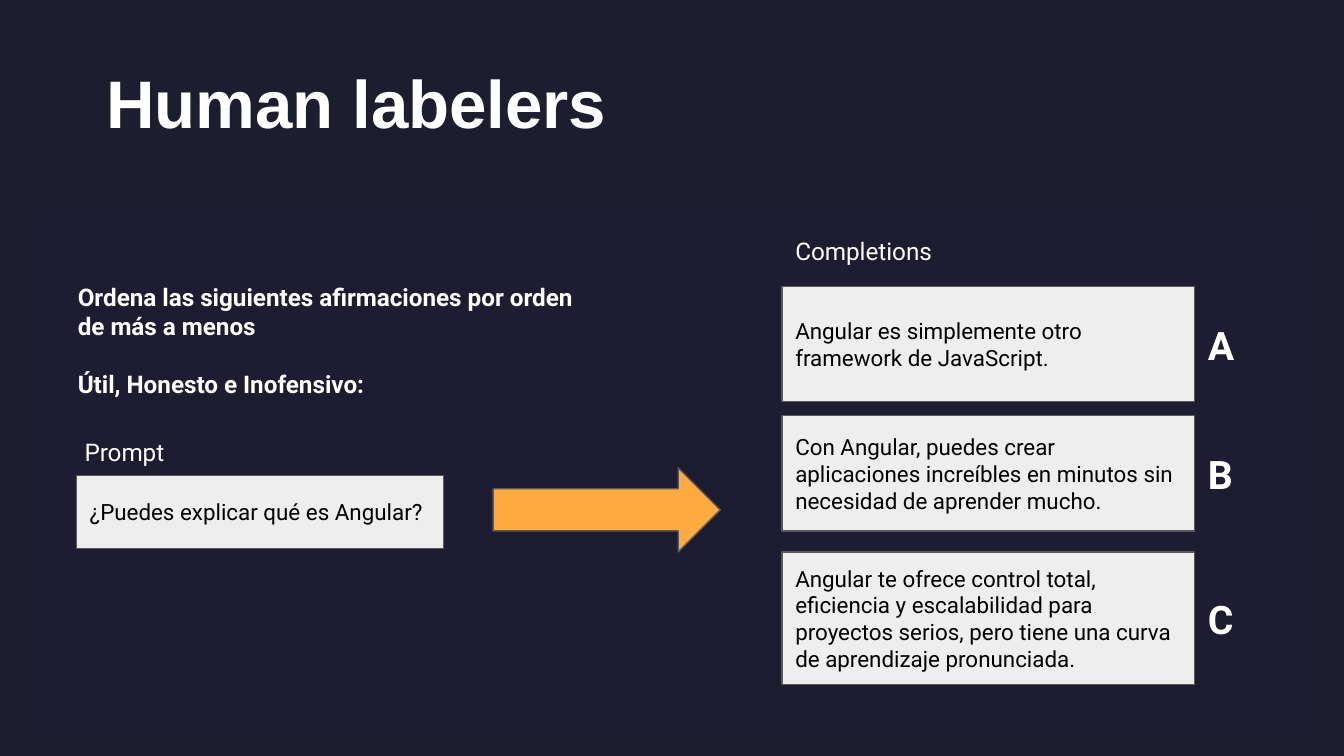
from pptx import Presentation
from pptx.dml.color import RGBColor
from pptx.enum.shapes import MSO_SHAPE
from pptx.enum.text import MSO_ANCHOR, MSO_AUTO_SIZE, PP_ALIGN
from pptx.util import Pt

RECT, ARROW = MSO_SHAPE.RECTANGLE, MSO_SHAPE.RIGHT_ARROW
TOP, MIDDLE = MSO_ANCHOR.TOP, MSO_ANCHOR.MIDDLE
LEFT, FIXED = PP_ALIGN.LEFT, MSO_AUTO_SIZE.NONE

BACK, PANEL = "1D1D30", "1D1C30"
WHITE, BLACK, GREY = "FFFFFF", "000000", "EEEEEE"
EDGE, ORANGE = "595959", "FFAB40"

TITLE = {"name": "Arial", "size": Pt(36), "bold": True}
BODY = {"name": "Roboto", "size": Pt(12), "bold": False}
LABEL = {"name": "Roboto", "size": Pt(13), "bold": False}
STRONG = {"name": "Roboto", "size": Pt(13), "bold": True}
GRADE = {"name": "Roboto", "size": Pt(21), "bold": True}

PAD = 7.2
ROW = 39          # height of a label box
COL, WIDE = 419, 221  # left and width of the completions

ANSWERS = [  # letter, top, height, text
    ("A", 153.4, 61.9, "Angular es simplemente otro framework de JavaScript."),
    ("B", 222.7, 61.9, "Con Angular, puedes crear aplicaciones increíbles en "
     "minutos sin necesidad de aprender mucho."),
    ("C", 295.8, 71, "Angular te ofrece control total, eficiencia y "
     "escalabilidad para proyectos serios, pero tiene una curva de "
     "aprendizaje pronunciada."),
]


def paint(target, color):
    target.rgb = RGBColor.from_string(color)


def write(shape, lines, style, color, anchor=TOP, gap=0, top=PAD):
    frame = shape.text_frame
    form = {"word_wrap": True, "auto_size": FIXED, "vertical_anchor": anchor,
            "margin_left": Pt(PAD), "margin_right": Pt(PAD),
            "margin_top": Pt(top), "margin_bottom": Pt(PAD)}
    for key, value in form.items():
        setattr(frame, key, value)
    for i, line in enumerate(lines):
        para = frame.add_paragraph() if i else frame.paragraphs[0]
        para.alignment = LEFT
        if i:
            para.space_before = Pt(gap)
        run = para.add_run()
        run.text = line
        for key, value in style.items():
            setattr(run.font, key, value)
        paint(run.font.color, color)


def block(slide, kind, box, fill, edge=None):
    shape = slide.shapes.add_shape(kind, *map(Pt, box))
    shape.shadow.inherit = False
    shape.fill.solid()
    paint(shape.fill.fore_color, fill)
    if edge:
        shape.line.width = Pt(0.75)
        paint(shape.line.color, edge)
    else:
        shape.line.fill.background()
    return shape


def card(slide, box, text):
    write(block(slide, RECT, box, GREY, EDGE), [text], BODY, BLACK, MIDDLE)


def label(slide, box, lines, style, gap=0):
    write(slide.shapes.add_textbox(*map(Pt, box)), lines, style, WHITE, gap=gap)


def head(slide, box, text):
    title = slide.shapes.title
    title.left, title.top, title.width, title.height = map(Pt, box)
    write(title, [text], TITLE, WHITE, top=11.2)


def main():
    deck = Presentation()
    deck.slide_width, deck.slide_height = Pt(720), Pt(405)
    slide = deck.slides.add_slide(deck.slide_layouts[5])
    slide.background.fill.solid()
    paint(slide.background.fill.fore_color, BACK)

    # Panel and title
    block(slide, RECT, (20, 113, 683.3, 278.6), PANEL)
    head(slide, (49.7, 21.6, 538.6, 78.5), "Human labelers")

    # Task and prompt
    label(slide, (34.6, 144, 280, ROW),
          ["Ordena las siguientes afirmaciones por orden de más a menos",
           "Útil, Honesto e Inofensivo:"], STRONG, gap=15.5)
    label(slide, (38.2, 226.8, 235.4, ROW), ["Prompt"], LABEL)
    card(slide, (41, 254.9, 196.6, 38.9), "¿Puedes explicar qué es Angular?")
    block(slide, ARROW, (264.2, 250.6, 121.7, 45.1), ORANGE, EDGE)

    # Completions, each with its letter centred beside it
    label(slide, (COL, 119.5, 235.4, ROW), ["Completions"], LABEL)
    for letter, top, high, text in ANSWERS:
        card(slide, (COL, top, WIDE, high), text)
        label(slide, (COL + WIDE, top + (high - ROW) / 2, 60, ROW),
              [letter], GRADE)

    deck.save("out.pptx")


if __name__ == "__main__":
    main()
